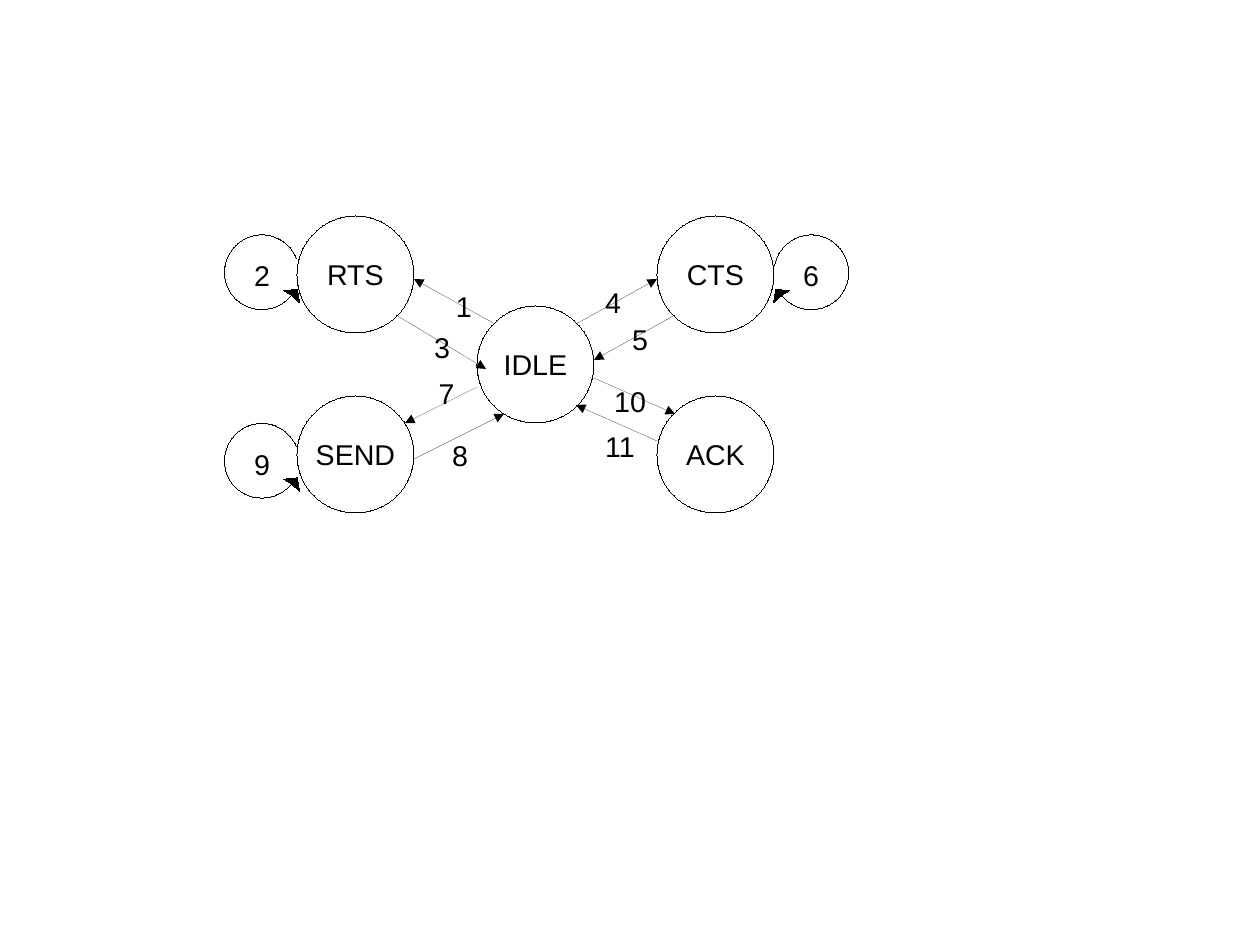
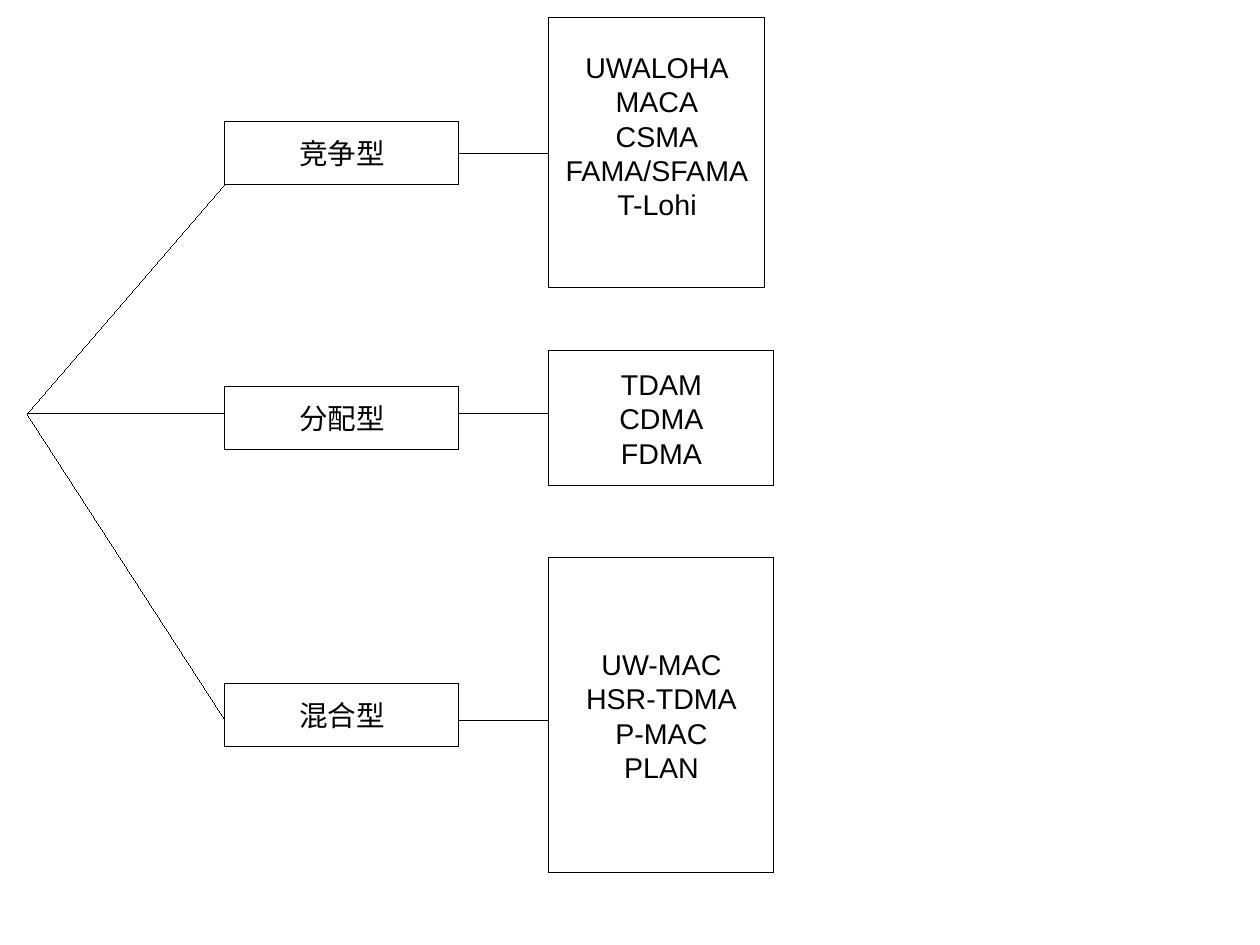
from math import cos, radians, sin, tan

from lxml.etree import SubElement
from pptx import Presentation
from pptx.dml.color import RGBColor
from pptx.enum.shapes import MSO_CONNECTOR, MSO_SHAPE
from pptx.enum.text import MSO_ANCHOR, PP_ALIGN
from pptx.oxml.ns import qn
from pptx.util import Cm, Pt

INK = "000000"
PAPER = "FFFFFF"
FONT = "Arial"
TEXT_SIZE = 18

STATE_SIZE = 2.6
STATES = {
    "IDLE": (11.9, 8.1),
    "ACK": (15.9, 10.1),
    "CTS": (15.9, 6.1),
    "RTS": (7.9, 6.1),
    "SEND": (7.9, 10.1),
}
TRANSITIONS = [
    ((11, 7.2), (9.2, 6.2)),
    ((8.8, 7), (10.8, 8.2)),
    ((12.8, 7.2), (14.6, 6.2)),
    ((15, 7), (13.2, 8)),
    ((10.6, 8.6), (9, 9.4)),
    ((9.2, 10.2), (11.2, 9.2)),
    ((13.2, 8.4), (15, 9.2)),
    ((14.6, 9.8), (12.8, 9)),
]
LABELS = {
    "1": (9.88, 6.3),
    "2": (5.4, 5.6),
    "3": (9.4, 7.2),
    "4": (13.2, 6.2),
    "5": (13.8, 7.02),
    "6": (17.6, 5.6),
    "7": (9.5, 8.22),
    "8": (9.8, 9.6),
    "9": (5.4, 9.8),
    "10": (13.4, 8.4),
    "11": (13.2, 9.4),
}

LOOP_RADIUS = 0.83
LOOP_START = 38
LOOP_CURVES = 4
LOOP_HEAD = [(0.84, 0.68), (0.79, 0.38), (0.49, 0.41)]

ROOT = (0.6, 9.2)
CATEGORY_LEFT, CATEGORY_WIDTH, CATEGORY_HEIGHT = 5, 5.2, 1.4
PROTOCOL_LEFT = 12.2
EMPTY_LINE = 0.76
CATEGORIES = [
    {"name": "竞争型", "top": 2.7, "link": 3.4, "branch": 5.6,
     "protocols": "UWALOHA\nMACA\nCSMA\nFAMA/SFAMA\nT-Lohi",
     "box": (0.4, 4.8, 6), "lift": EMPTY_LINE},
    {"name": "分配型", "top": 8.6, "link": 9.2, "branch": 5,
     "protocols": "TDAM\nCDMA\nFDMA",
     "box": (7.8, 5, 3), "lift": 0},
    {"name": "混合型", "top": 15.2, "link": 16, "branch": 5,
     "protocols": "UW-MAC\nHSR-TDMA\nP-MAC\nPLAN",
     "box": (12.4, 5, 7), "lift": 0},
]


def color(value):
    return RGBColor.from_string(value)


def write(frame, text, align=PP_ALIGN.LEFT, anchor=MSO_ANCHOR.TOP, wrap=True, lift=0):
    frame.word_wrap = wrap
    frame.vertical_anchor = anchor
    frame.margin_left = frame.margin_right = Cm(0.25)
    frame.margin_top = Cm(0.13)
    frame.margin_bottom = Cm(0.13 + lift)
    frame.text = text
    for para in frame.paragraphs:
        para.alignment = align
        para.font.name = FONT
        para.font.size = Pt(TEXT_SIZE)
        para.font.color.rgb = color(INK)


def set_hairline(shape):
    shape.line.color.rgb = color(INK)
    shape.line.width = Pt(0)
    style = shape._element.find(qn("p:style"))
    shape._element.remove(style)


def paint(shape, fill):
    shape.shadow.inherit = False
    shape.fill.solid()
    shape.fill.fore_color.rgb = color(fill)
    set_hairline(shape)


def add_box(page, kind, left, top, width, height, text, lift=0):
    box = page.shapes.add_shape(kind, Cm(left), Cm(top), Cm(width), Cm(height))
    paint(box, PAPER)
    write(box.text_frame, text, align=PP_ALIGN.CENTER, anchor=MSO_ANCHOR.MIDDLE,
          wrap=False, lift=lift)


def add_label(page, text, left, top):
    box = page.shapes.add_textbox(Cm(left), Cm(top), Cm(0.8 * len(text)), Cm(1.2))
    write(box.text_frame, text)


def add_line(page, start, end, arrow=False):
    line = page.shapes.add_connector(
        MSO_CONNECTOR.STRAIGHT, *[Cm(value) for value in (*start, *end)])
    set_hairline(line)
    if arrow:
        SubElement(line.line._get_or_add_ln(), qn("a:tailEnd"), type="triangle")
    SubElement(line._element.spPr, qn("a:effectLst"))


def arc_points(last_angle):
    step = radians(last_angle - LOOP_START) / LOOP_CURVES
    reach = 4 / 3 * tan(step / 4)
    points = []
    for index in range(LOOP_CURVES + 1):
        angle = radians(LOOP_START) + index * step
        x, y = cos(angle), sin(angle)
        if index:
            points.append((x + reach * y, y - reach * x))
        points.append((x, y))
        if index < LOOP_CURVES:
            points.append((x - reach * y, y + reach * x))
    return [(LOOP_RADIUS * x, LOOP_RADIUS * y) for x, y in points]


def bend(segments):
    first, second, third = segments
    curve = first.makeelement(qn("a:cubicBezTo"))
    first.addprevious(curve)
    for segment in (first, second, third):
        curve.append(segment[0])
        segment.getparent().remove(segment)


def add_self_loop(page, center_x, center_y, side=1, last_angle=338):
    arc = arc_points(last_angle)
    points = [(Cm(center_x + side * x), Cm(center_y + y))
              for x, y in arc + arc[::-1] + LOOP_HEAD]
    outline = page.shapes.build_freeform(*points[0])
    outline.add_line_segments(points[1:], close=True)
    loop = outline.convert_to_shape()
    segments = list(loop._element.iter(qn("a:lnTo")))
    for start in (0, len(arc)):
        for index in range(start, start + 3 * LOOP_CURVES, 3):
            bend(segments[index:index + 3])
    paint(loop, INK)


def build_state_diagram(page):
    for name, (x, y) in STATES.items():
        add_box(page, MSO_SHAPE.OVAL, x - STATE_SIZE / 2, y - STATE_SIZE / 2,
                STATE_SIZE, STATE_SIZE, name)
    add_self_loop(page, 5.82, 6.05)
    add_self_loop(page, 5.82, 10.24)
    add_self_loop(page, 18.03, 6.05, side=-1, last_angle=350)
    for start, end in TRANSITIONS:
        add_line(page, start, end, arrow=True)
    for text, (left, top) in LABELS.items():
        add_label(page, text, left, top)


def build_protocol_tree(page):
    for category in CATEGORIES:
        link = category["link"]
        add_line(page, (category["branch"], link), ROOT)
        add_line(page, (CATEGORY_LEFT + CATEGORY_WIDTH, link), (PROTOCOL_LEFT, link))
        add_box(page, MSO_SHAPE.RECTANGLE, CATEGORY_LEFT, category["top"],
                CATEGORY_WIDTH, CATEGORY_HEIGHT, category["name"])
        top, width, height = category["box"]
        add_box(page, MSO_SHAPE.RECTANGLE, PROTOCOL_LEFT, top, width, height,
                category["protocols"], lift=category["lift"])


def main():
    deck = Presentation()
    deck.slide_width, deck.slide_height = Cm(28), Cm(21)
    blank = deck.slide_layouts[6]
    for build in (build_state_diagram, build_protocol_tree):
        build(deck.slides.add_slide(blank))
    deck.save("out.pptx")


if __name__ == "__main__":
    main()
